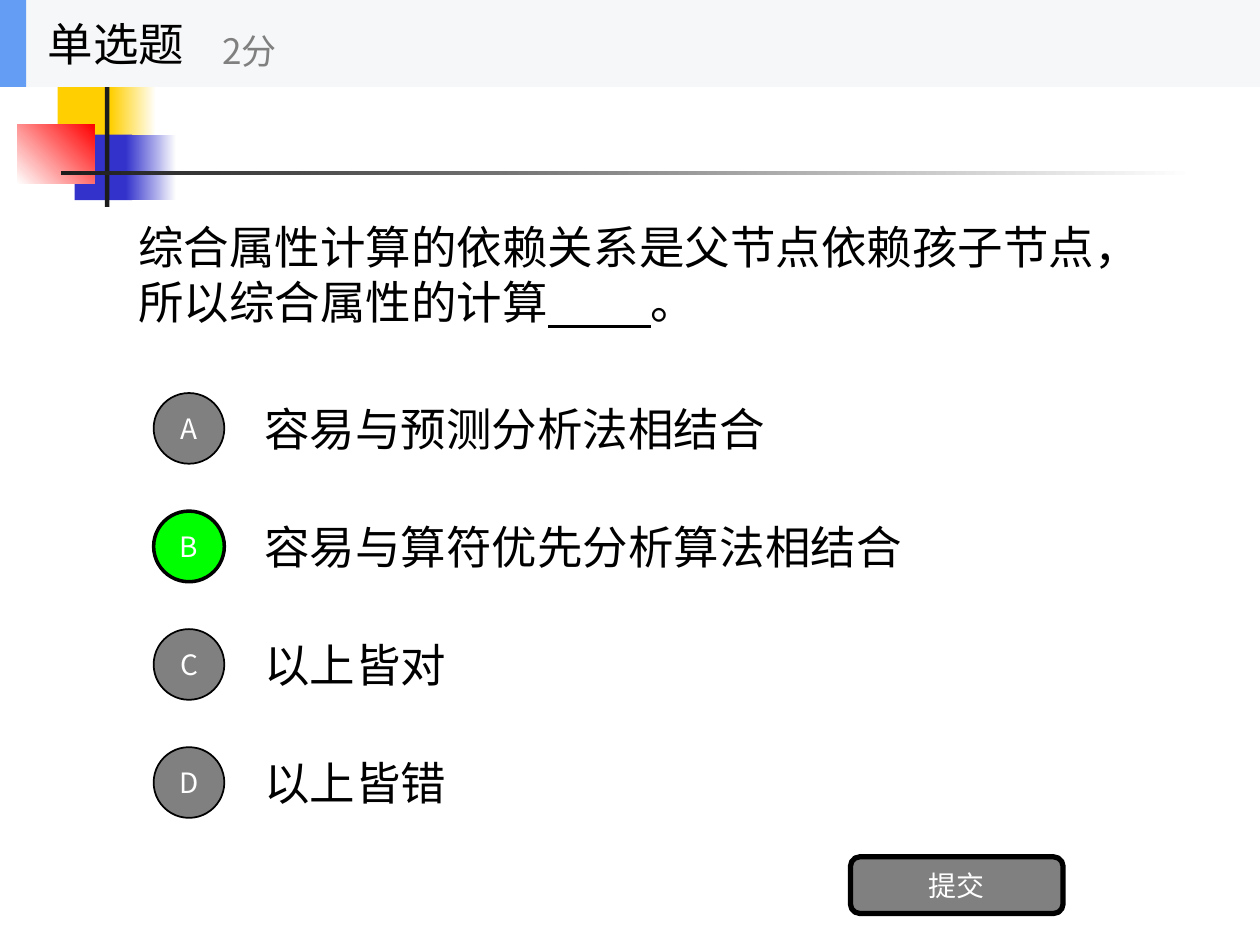
from lxml import etree
from pptx import Presentation
from pptx import util as u
from pptx.dml.color import RGBColor
from pptx.enum import shapes, text
from pptx.oxml.ns import qn

Pt = u.Pt
FONT = "Noto Sans CJK SC"
BLACK = RGBColor(0x00, 0x00, 0x00)
WHITE = RGBColor(0xFF, 0xFF, 0xFF)
GRAY = RGBColor(0x80, 0x80, 0x80)
GREEN = RGBColor(0x00, 0xFF, 0x00)
YELLOW = RGBColor(0xFF, 0xCF, 0x01)
INDIGO = RGBColor(0x33, 0x33, 0xCC)
RED = RGBColor(0xFF, 0x00, 0x00)
CHARCOAL = RGBColor(0x1C, 0x1C, 0x1C)
BAR = RGBColor(0xF6, 0xF7, 0xF8)
ACCENT = RGBColor(0x63, 0x9E, 0xF4)

BODY_SIZE, LABEL_SIZE, POINTS_SIZE = 26, 16, 20
FIRST_ROW, ROW_PITCH, ROW_HEIGHT, BADGE = 219.6, 67.45, 50.4, 40.4
CORRECT = "B"
ANSWERS = {
    "A": "容易与预测分析法相结合",
    "B": "容易与算符优先分析算法相结合",
    "C": "以上皆对",
    "D": "以上皆错",
}


def add_words(paragraph, words, size, color, underline=None):
    run = paragraph.add_run()
    run.text = words
    font_format = {"name": FONT, "size": Pt(size), "underline": underline}
    for name, value in font_format.items():
        setattr(run.font, name, value)
    run.font.color.rgb = color
    east_asian = etree.SubElement(run.font._element, qn("a:ea"))
    east_asian.set("typeface", FONT)


def add_block(parent, box, fill, kind=shapes.MSO_SHAPE.RECTANGLE, border=0):
    block = parent.add_shape(kind, *map(Pt, box))
    block.shadow.inherit = False
    block.fill.solid()
    block.fill.fore_color.rgb = fill
    if border:
        block.line.color.rgb = BLACK
        block.line.width = Pt(border)
    else:
        block.line.fill.background()
    return block


def add_fade(parent, box, start, end, angle=0):
    fade = add_block(parent, box, start)
    fade.fill.gradient()
    fade.fill.gradient_angle = angle
    for stop, color in zip(fade.fill.gradient_stops, (start, end)):
        stop.color.rgb = color


def add_label(parent, box, words, size=BODY_SIZE, color=BLACK, wrap=True):
    label = parent.add_textbox(*map(Pt, box))
    frame_format = {"word_wrap": wrap, "vertical_anchor": text.MSO_ANCHOR.MIDDLE}
    for name, value in frame_format.items():
        setattr(label.text_frame, name, value)
    paragraph = label.text_frame.paragraphs[0]
    add_words(paragraph, words, size, color)
    return paragraph


def add_button(parent, box, words, kind, fill, border):
    button = add_block(parent, box, fill, kind, border)
    frame_format = {"word_wrap": False, "vertical_anchor": text.MSO_ANCHOR.MIDDLE}
    for name, value in frame_format.items():
        setattr(button.text_frame, name, value)
    paragraph = button.text_frame.paragraphs[0]
    paragraph.alignment = text.PP_ALIGN.CENTER
    add_words(paragraph, words, LABEL_SIZE, WHITE)


def add_decoration(parent):
    add_block(parent, (33, 44, 34.5, 37.4), YELLOW)
    add_fade(parent, (63.2, 44, 26, 37.4), YELLOW, WHITE)
    add_block(parent, (42.6, 77, 33, 37.4), INDIGO)
    add_fade(parent, (72, 77, 28.8, 37.4), INDIGO, WHITE)
    add_fade(parent, (9.8, 71, 44.2, 33.9), WHITE, RED, angle=45)
    add_block(parent, (60, 35.5, 2.5, 82.8), CHARCOAL)
    add_fade(parent, (34.8, 97.7, 648, 2.3), CHARCOAL, WHITE)


def add_question(parent):
    question = add_label(parent, (72, 94.3, 576, 124.6),
                         "综合属性计算的依赖关系是父节点依赖孩子节点，所以综合属性的计算")
    # Underlined blank to fill in
    add_words(question, " " * 10, BODY_SIZE, BLACK, underline=True)
    add_words(question, "。", BODY_SIZE, BLACK, underline=False)


def add_answer(parent, row, letter, answer):
    top = FIRST_ROW + row * ROW_PITCH
    correct = letter == CORRECT
    add_label(parent, (144, top, 504, ROW_HEIGHT), answer)
    add_button(parent, (87.8, top + (ROW_HEIGHT - BADGE) / 2, BADGE, BADGE), letter,
               shapes.MSO_SHAPE.OVAL, GREEN if correct else GRAY, 2 if correct else 1)


def add_header(parent):
    header = parent.add_group_shape().shapes
    add_block(header, (0, 0, 720, 49.7), BAR)
    add_block(header, (0, 0, 15, 49.7), ACCENT)
    add_label(header, (20.2, 0, 149.8, 49.7), "单选题", wrap=False)
    add_label(header, (120, 8.6, 180, 40.3), "2分", POINTS_SIZE, GRAY, wrap=False)


def main():
    deck = Presentation()
    deck.slide_width, deck.slide_height = Pt(720), Pt(540)
    parts = deck.slides.add_slide(deck.slide_layouts[6]).shapes

    # Corner squares and rules
    add_decoration(parts)

    # Question and its answers
    add_question(parts)
    for row, (letter, answer) in enumerate(ANSWERS.items()):
        add_answer(parts, row, letter, answer)

    # Submit button
    add_button(parts, (486, 489.6, 121.5, 32.4), "提交",
               shapes.MSO_SHAPE.ROUNDED_RECTANGLE, GRAY, 3)

    # Header bar with question type and points
    add_header(parts)

    deck.save("out.pptx")


if __name__ == "__main__":
    main()
